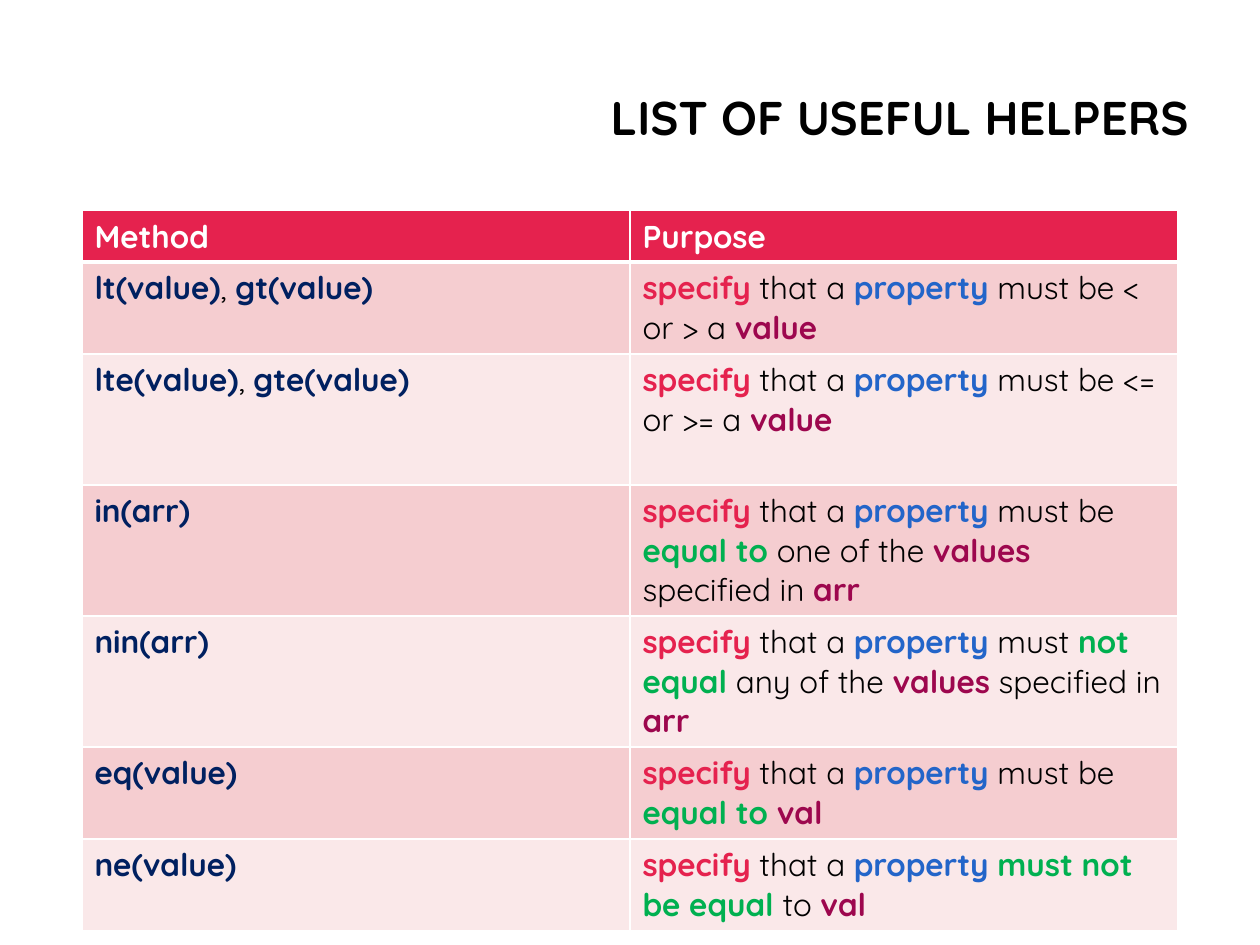
from lxml.etree import SubElement
from pptx import Presentation
from pptx.dml.color import RGBColor
from pptx.enum.text import MSO_ANCHOR as Anchor, PP_ALIGN as Align
from pptx.oxml.ns import qn
from pptx.util import Inches, Pt

COLORS = {
    "black": "000000", "white": "FFFFFF", "red": "E5224E", "navy": "002060",
    "blue": "2365C9", "plum": "9D074E", "green": "00B050",
    "band dark": "F5CDD0", "band light": "FAE8E9",
}

SPECIFY = [("specify", "red"), " that a ", ("property", "blue")]
IN_ARRAY = [("values", "plum"), " specified in ", ("arr", "plum")]
HELPERS = [
    ([("lt(value)", "navy"), ", ", ("gt(value)", "navy")],
     SPECIFY + [" must be < or > a ", ("value", "plum")]),
    ([("lte(value)", "navy"), ", ", ("gte(value)", "navy")],
     SPECIFY + [" must be <= or >= a ", ("value", "plum")]),
    ([("in(arr)", "navy")],
     SPECIFY + [" must be ", ("equal to ", "green"), "one of the "] + IN_ARRAY),
    ([("nin(arr)", "navy")],
     SPECIFY + [" must ", ("not equal ", "green"), "any of the "] + IN_ARRAY),
    ([("eq(value)", "navy")],
     SPECIFY + [" must be ", ("equal to ", "green"), ("val", "plum")]),
    ([("ne(value)", "navy")],
     SPECIFY + [" ", ("must not be equal ", "green"), "to ", ("val", "plum")]),
]
HEADER = ([("Method", "white")], [("Purpose", "white")])
ROW_HEIGHTS = [0.41, 0.73, 1.04, 1.04, 1.04, 0.73, 0.73]


class SlideBuilder:
    font = "Quicksand"

    def __init__(self, slide):
        self.slide = slide

    def color(self, name):
        return RGBColor.from_string(COLORS[name])

    def add_text(self, paragraph, parts, size):
        paragraph.font.name = self.font
        paragraph.font.size = Pt(size)
        for part in parts:
            text, color = (part, "black") if isinstance(part, str) else part
            run = paragraph.add_run()
            run.text = text
            run.font.bold = not isinstance(part, str)
            run.font.color.rgb = self.color(color)

    def title(self, text, left, top, width, height):
        box = self.slide.shapes.add_textbox(
            Inches(left), Inches(top), Inches(width), Inches(height))
        frame = box.text_frame
        frame.word_wrap = True
        frame.vertical_anchor = Anchor.MIDDLE
        paragraph = frame.paragraphs[0]
        paragraph.alignment = Align.RIGHT
        paragraph.line_spacing = 0.9
        self.add_text(paragraph, [(text, "black")], 27)

    def borders(self, cell, top, bottom):
        properties = cell._tc.get_or_add_tcPr()
        for side, width in (("L", 1), ("R", 1), ("T", top), ("B", bottom)):
            line = SubElement(properties, qn(f"a:ln{side}"), w=str(Pt(width)))
            fill = SubElement(line, qn("a:solidFill"))
            SubElement(fill, qn("a:srgbClr"), val=COLORS["white"])

    def table(self, rows, heights, left, top, width):
        shape = self.slide.shapes.add_table(
            len(rows), len(rows[0]), Inches(left), Inches(top),
            Inches(width), Inches(sum(heights)))
        table = shape.table
        for index, (row, height) in enumerate(zip(rows, heights)):
            table.rows[index].height = Inches(height)
            band = "band dark" if index % 2 else "band light"
            for column, parts in enumerate(row):
                cell = table.cell(index, column)
                self.borders(cell, 3 if index == 1 else 1, 3 if index == 0 else 1)
                cell.fill.solid()
                cell.fill.fore_color.rgb = self.color(band if index else "red")
                self.add_text(cell.text_frame.paragraphs[0], parts, 18)


def main():
    presentation = Presentation()
    presentation.slide_width = Inches(10)
    presentation.slide_height = Inches(7.5)
    slide = presentation.slides.add_slide(presentation.slide_layouts[6])
    builder = SlideBuilder(slide)
    builder.title("LIST OF USEFUL HELPERS", 2.56, 0.25, 6.97, 1.41)
    builder.table([HEADER] + HELPERS, ROW_HEIGHTS, 0.65, 1.67, 8.7)
    presentation.save("out.pptx")


if __name__ == "__main__":
    main()
